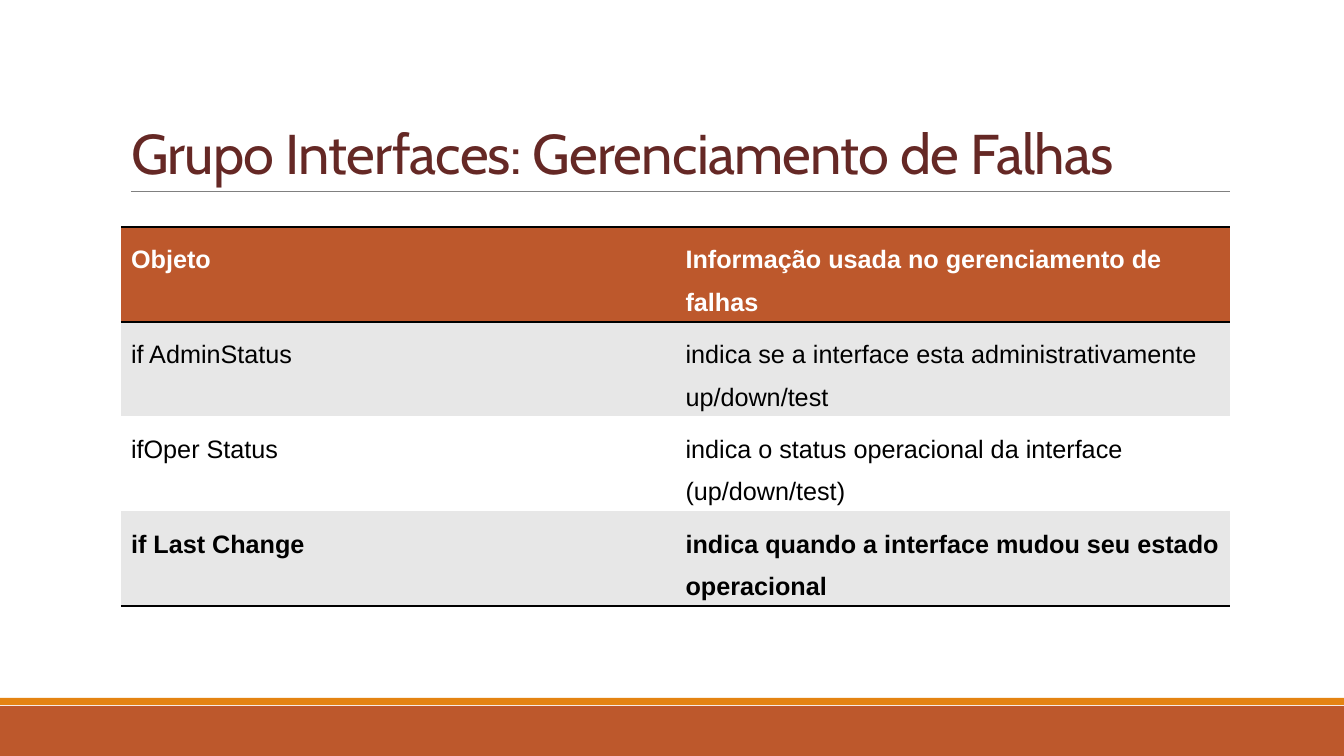
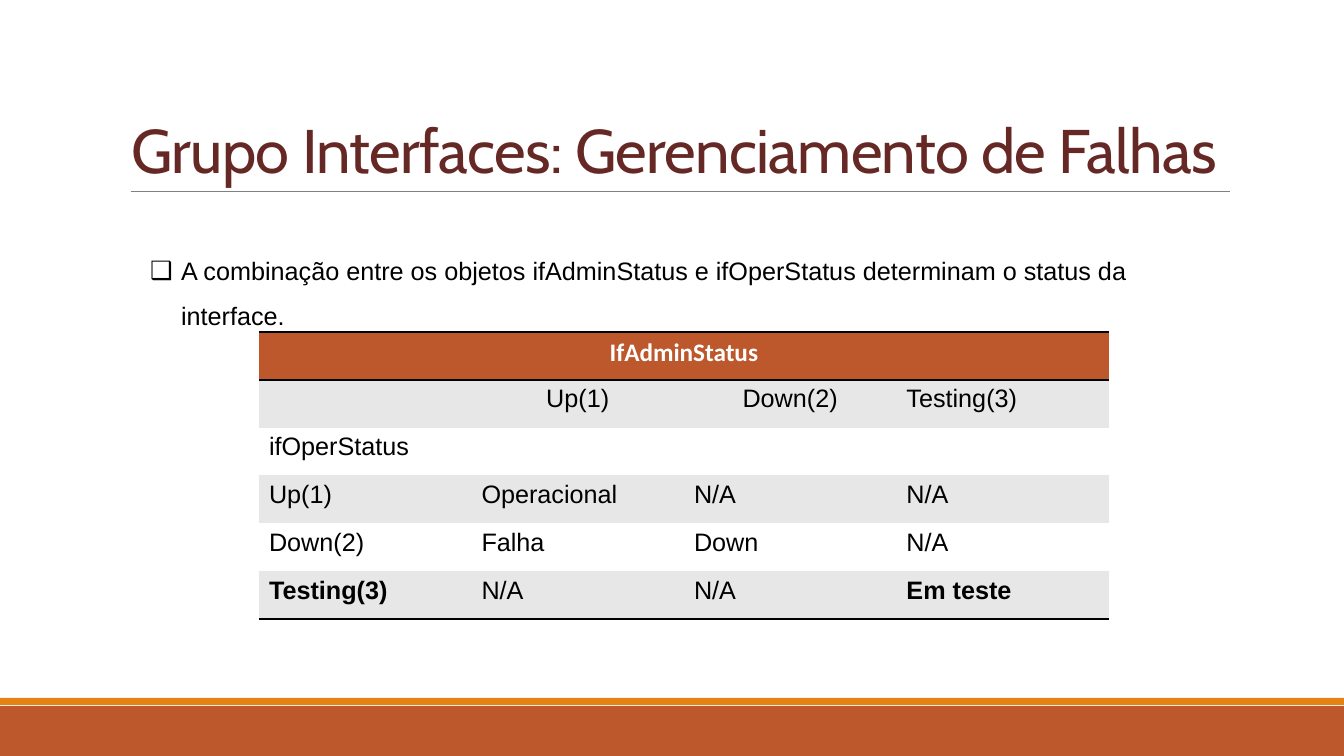
from dataclasses import dataclass

from lxml import etree
from pptx import Presentation
from pptx import util as u
from pptx.dml import color
from pptx.enum import shapes, text
from pptx.oxml import ns

SCALE = 914400 / 100.8
WIDE, HIGH = 1344, 756
RUST, AMBER, GREY, WINE = "BD582C", "E48312", "808080", "652825"
BLACK, WHITE, PALE = "000000", "FFFFFF", "E7E7E7"
HEAD = "Grupo Interfaces: Gerenciamento de Falhas"
PLAIN = "{2D5ABB26-0587-4C30-8999-92F81FD0307C}"  # table style without grid
LEFT, MID = text.PP_ALIGN.LEFT, text.PP_ALIGN.CENTER


@dataclass
class Box:
    """A rectangle in pixels."""
    x: int
    y: int
    w: int
    h: int

    def emu(self) -> list:
        """Return left, top, width and height in EMU."""
        return [px(n) for n in (self.x, self.y, self.w, self.h)]


@dataclass
class Band:
    """A filled bar that runs across the slide."""
    box: Box
    fill: str


@dataclass
class Grid:
    """A banded table; some rows span its width, some cells are set apart."""
    box: Box
    rows: list
    lead: float = 1.0
    face: str = "Arial"
    wide: tuple = ()
    bold: tuple = ()
    mid: tuple = ()


BANDS = [Band(Box(0, 706, WIDE, 50), RUST), Band(Box(0, 698, WIDE, 7), AMBER)]
TITLE = Box(121, 31, 1109, 160)
RULE = (131, 191, 1230, 191)

FAULTS = Grid(
    Box(121, 227, 1109, 378),
    [["Objeto", "Informação usada no gerenciamento de falhas"],
     ["if AdminStatus",
      "indica se a interface esta administrativamente up/down/test"],
     ["ifOper Status",
      "indica o status operacional da interface (up/down/test)"],
     ["if Last Change",
      "indica quando a interface mudou seu estado operacional"]],
    lead=1.5, bold=((3, 0), (3, 1)))

STATES = Grid(
    Box(259, 332, 850, 287),
    [["IfAdminStatus", "", "", ""],
     ["", "Up(1)", "Down(2)", "Testing(3)"],
     ["ifOperStatus", "", "", ""],
     ["Up(1)", "Operacional", "N/A", "N/A"],
     ["Down(2)", "Falha", "Down", "N/A"],
     ["Testing(3)", "N/A", "N/A", "Em teste"]],
    face="Calibri", wide=(0, 2), bold=((5, 0), (5, 3)),
    mid=((0, 0), (1, 1), (1, 2)))

NOTE = ("A combinação entre os objetos ifAdminStatus e ifOperStatus "
        "determinam o status da interface.")


def px(n: float) -> int:
    """Turn pixels into EMU."""
    return round(n * SCALE)


def rgb(code: str) -> color.RGBColor:
    """Turn a hex string into a colour."""
    return color.RGBColor.from_string(code)


def put(obj, **vals) -> None:
    """Set each named attribute of an object."""
    for key, val in vals.items():
        setattr(obj, key, val)


def add(root, tag: str, **vals):
    """Append a drawing element with attributes."""
    return etree.SubElement(root, ns.qn(tag), **vals)


def write(frame, words: str, size: float, face: str, ink: str,
          bold: bool = False, **form):
    """Fill a text frame with one formatted paragraph and return it."""
    para = frame.paragraphs[0]
    run = para.add_run()
    run.text = words
    put(run.font, size=u.Pt(size), name=face, bold=bold)
    run.font.color.rgb = rgb(ink)
    put(para, **form)
    return para


def place(shape, box: Box, anchor):
    """Move a placeholder and return its prepared text frame."""
    left, top, width, height = box.emu()
    put(shape, left=left, top=top, width=width, height=height)
    frame = shape.text_frame
    put(frame, word_wrap=True, auto_size=text.MSO_AUTO_SIZE.NONE,
        vertical_anchor=anchor)
    return frame


def frame_all(deck, slide) -> None:
    """Draw the shared bands and rule, then hand them to the master."""
    parts = []
    for band in BANDS:
        bar = slide.shapes.add_shape(shapes.MSO_SHAPE.RECTANGLE,
                                     *band.box.emu())
        bar.shadow.inherit = False
        bar.fill.solid()
        bar.fill.fore_color.rgb = rgb(band.fill)
        bar.line.fill.background()
        parts.append(bar)
    rule = slide.shapes.add_connector(shapes.MSO_CONNECTOR.STRAIGHT,
                                      *map(px, RULE))
    rule.line.color.rgb = rgb(GREY)
    rule.line.width = u.Pt(0.5)
    add(rule.element.spPr, "a:effectLst")
    for part in parts + [rule]:
        deck.slide_master.shapes.element.append(part.element)


def head(slide, size: float) -> None:
    """Write the shared title at a given size."""
    frame = place(slide.shapes.title, TITLE, text.MSO_ANCHOR.BOTTOM)
    para = write(frame, HEAD, size, "Cabin", WINE,
                 alignment=LEFT, line_spacing=0.85)
    para.runs[0].font._element.set("spc", "-50")


def bullet(slide, words: str, box: Box) -> None:
    """Write one bulleted line in the body placeholder."""
    frame = place(slide.placeholders[1], box, text.MSO_ANCHOR.TOP)
    para = write(frame, words, 18, "Arial", BLACK, alignment=LEFT,
                 line_spacing=1.5, space_before=u.Pt(0))
    props = para._p.get_or_add_pPr()
    put_in = px(31)
    props.set("marL", str(put_in))
    props.set("indent", str(-put_in))
    add(props, "a:buChar", char="❑")


def edge(cell, tag: str) -> None:
    """Give a cell one black border."""
    line = add(cell._tc.get_or_add_tcPr(), tag, w=str(u.Pt(2)))
    add(add(line, "a:solidFill"), "a:srgbClr", val=BLACK)


def table(slide, grid: Grid) -> None:
    """Draw a table with a header row, grey bands and black rules."""
    rows, cols = len(grid.rows), len(grid.rows[0])
    frame = slide.shapes.add_table(rows, cols, *grid.box.emu())
    next(frame.element.iter(ns.qn("a:tableStyleId"))).text = PLAIN
    for r, row in enumerate(grid.rows):
        top = r == 0
        for c, words in enumerate(row):
            cell = frame.table.cell(r, c)
            if top:
                edge(cell, "a:lnT")
            if top or r == rows - 1:
                edge(cell, "a:lnB")
            cell.fill.solid()
            fill = RUST if top else PALE if r % 2 else WHITE
            cell.fill.fore_color.rgb = rgb(fill)
            if words:
                write(cell.text_frame, words, 18,
                      grid.face if top else "Arial",
                      WHITE if top else BLACK,
                      bold=top or (r, c) in grid.bold,
                      alignment=MID if (r, c) in grid.mid else LEFT,
                      line_spacing=grid.lead)
        if r in grid.wide:
            frame.table.cell(r, 0).merge(frame.table.cell(r, cols - 1))


def main() -> None:
    """Build and save both slides."""
    deck = Presentation()
    put(deck, slide_width=px(WIDE), slide_height=px(HIGH))

    faults = deck.slides.add_slide(deck.slide_layouts[5])
    frame_all(deck, faults)
    head(faults, 40)
    table(faults, FAULTS)

    states = deck.slides.add_slide(deck.slide_layouts[1])
    head(states, 44)
    bullet(states, NOTE, Box(140, 235, 1104, 96))
    table(states, STATES)

    deck.save("out.pptx")


main()
